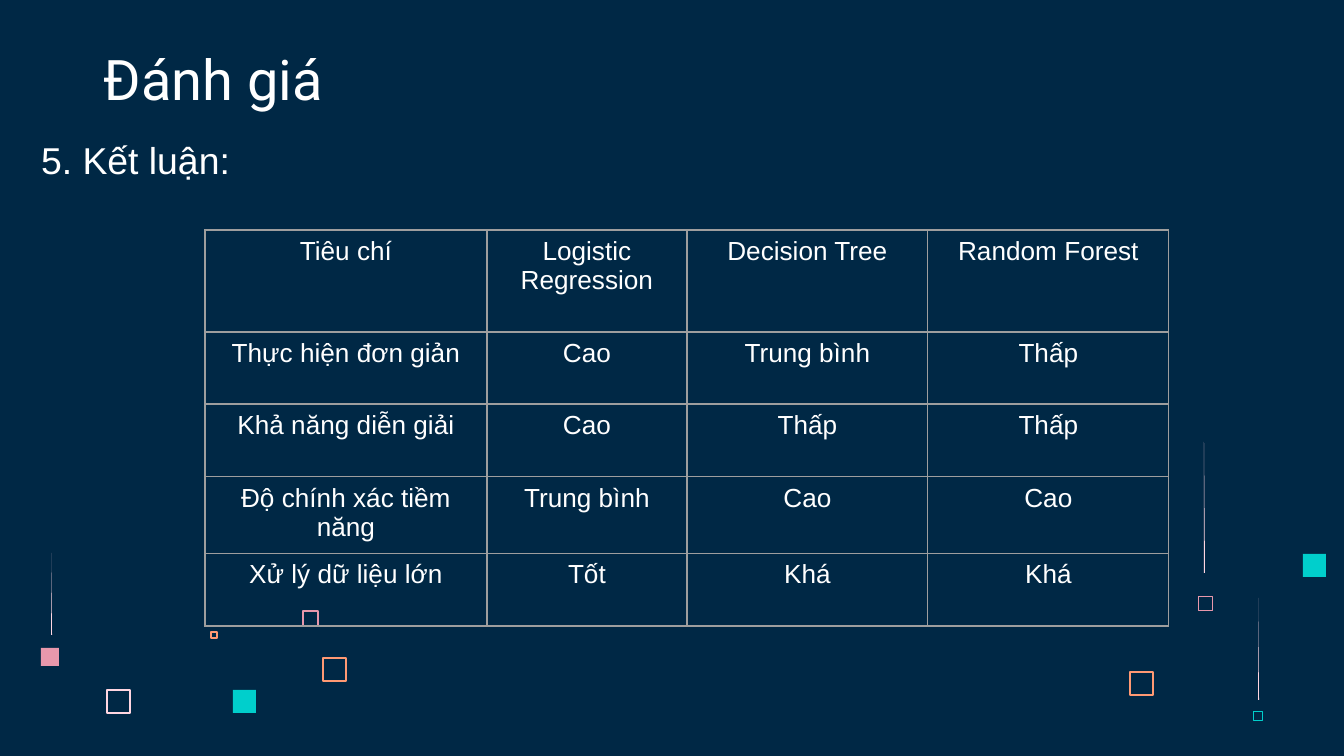
import pptx
import pptx.util
import pptx.dml.color
import pptx.enum.shapes
import pptx.enum.text
import pptx.oxml
import pptx.oxml.ns

THEME = {
    "bg": "002845", "text": "FFFFFF", "border": "9E9E9E",
    "blush": "FFD6E1", "pink": "E898AC", "orange": "FF9973", "teal": "00CFCC",
    "title_font": "Roboto", "body_font": "Arial",
    "title_size": 30, "body_size": 20, "table_size": 14,
    "border_width": 0.75,
}

TITLE = "Đánh giá"
SUBTITLE = "5. Kết luận:"
ROWS = [
    ("Tiêu chí", "Logistic Regression", "Decision Tree", "Random Forest"),
    ("Thực hiện đơn giản", "Cao", "Trung bình", "Thấp"),
    ("Khả năng diễn giải", "Cao", "Thấp", "Thấp"),
    ("Độ chính xác tiềm năng", "Trung bình", "Cao", "Cao"),
    ("Xử lý dữ liệu lớn", "Tốt", "Khá", "Khá"),
]
TABLE_LEFT, TABLE_TOP = 205, 230
COL_WIDTHS = [282, 200, 241, 241]
ROW_HEIGHTS = [102, 72, 73, 76, 73]

# left, top, side, colour, line width
FRAMES = [
    (107, 690, 23, "blush", 1),
    (303, 611, 15, "pink", 0.75),
    (211, 632, 6, "orange", 0.75),
    (323, 658, 23, "orange", 0.75),
    (1130, 672, 23, "orange", 0.75),
    (1198, 596, 15, "pink", 0.5),
    (1254, 712, 9, "teal", 0.5),
]
BLOCKS = [
    (233, 690, 23, "teal"),
    (41, 648, 18, "pink"),
    (1303, 554, 23, "teal"),
]
STREAKS = [(1204, 442, 573), (51, 553, 635), (1258, 598, 700)]


def px(n):
    return pptx.util.Emu(round(n * 914400 / 134.4))


def rgb(name):
    return pptx.dml.color.RGBColor.from_string(THEME[name])


def style(p, kind, size):
    p.font.name = THEME[kind + "_font"]
    p.font.size = pptx.util.Pt(THEME[size + "_size"])
    p.font.color.rgb = rgb("text")


def add_square(shapes, left, top, side, colour, width=None):
    sp = shapes.add_shape(pptx.enum.shapes.MSO_SHAPE.RECTANGLE,
                          px(left), px(top), px(side), px(side))
    sp.shadow.inherit = False
    if width is None:
        sp.fill.solid()
        sp.fill.fore_color.rgb = rgb(colour)
        sp.line.fill.background()
    else:
        sp.fill.background()
        sp.line.color.rgb = rgb(colour)
        sp.line.width = pptx.util.Pt(width)


def add_streak(shapes, x, top, bottom):
    builder = shapes.build_freeform(px(x), px(top))
    builder.add_line_segments([(px(x), px(bottom)), (px(x + 1), px(bottom))])
    sp = builder.convert_to_shape()
    sp.shadow.inherit = False
    sp.fill.solid()
    sp.fill.fore_color.rgb = rgb("blush")
    sp.line.fill.background()


def add_text(shapes, box, text, kind, anchor, margin):
    tf = shapes.add_textbox(*map(px, box)).text_frame
    tf.word_wrap = True
    tf.vertical_anchor = anchor
    tf.margin_left = tf.margin_right = px(13)
    tf.margin_top = tf.margin_bottom = px(margin)
    p = tf.paragraphs[0]
    p.text = text
    style(p, kind, kind)


def add_borders(cell):
    tc_pr = cell._tc.get_or_add_tcPr()
    width = pptx.util.Pt(THEME["border_width"])
    for side in ("lnL", "lnR", "lnT", "lnB"):
        tc_pr.append(pptx.oxml.parse_xml(
            f'<a:{side} {pptx.oxml.ns.nsdecls("a")} w="{width}"><a:solidFill>'
            f'<a:srgbClr val="{THEME["border"]}"/></a:solidFill></a:{side}>'))


def add_criteria_table(shapes):
    table = shapes.add_table(len(ROWS), len(COL_WIDTHS), px(TABLE_LEFT), px(TABLE_TOP),
                             px(sum(COL_WIDTHS)), px(sum(ROW_HEIGHTS))).table
    table.first_row = table.horz_banding = False
    for col, width in zip(table.columns, COL_WIDTHS):
        col.width = px(width)
    for row, height, texts in zip(table.rows, ROW_HEIGHTS, ROWS):
        row.height = px(height)
        for cell, text in zip(row.cells, texts):
            add_borders(cell)
            cell.fill.background()
            p = cell.text_frame.paragraphs[0]
            p.text = text
            p.alignment = pptx.enum.text.PP_ALIGN.CENTER
            style(p, "body", "table")


def main():
    prs = pptx.Presentation()
    prs.slide_width, prs.slide_height = px(1344), px(756)
    s = prs.slides.add_slide(prs.slide_layouts[6])
    s.background.fill.solid()
    s.background.fill.fore_color.rgb = rgb("bg")
    for square in FRAMES + BLOCKS:
        add_square(s.shapes, *square)
    for streak in STREAKS:
        add_streak(s.shapes, *streak)
    anchors = pptx.enum.text.MSO_ANCHOR
    add_text(s.shapes, (91, 40, 581, 85), TITLE, "title", anchors.BOTTOM, 13)
    add_text(s.shapes, (28, 130, 644, 59), SUBTITLE, "body", anchors.TOP, 7)
    add_criteria_table(s.shapes)
    prs.save("out.pptx")


if __name__ == "__main__":
    main()
